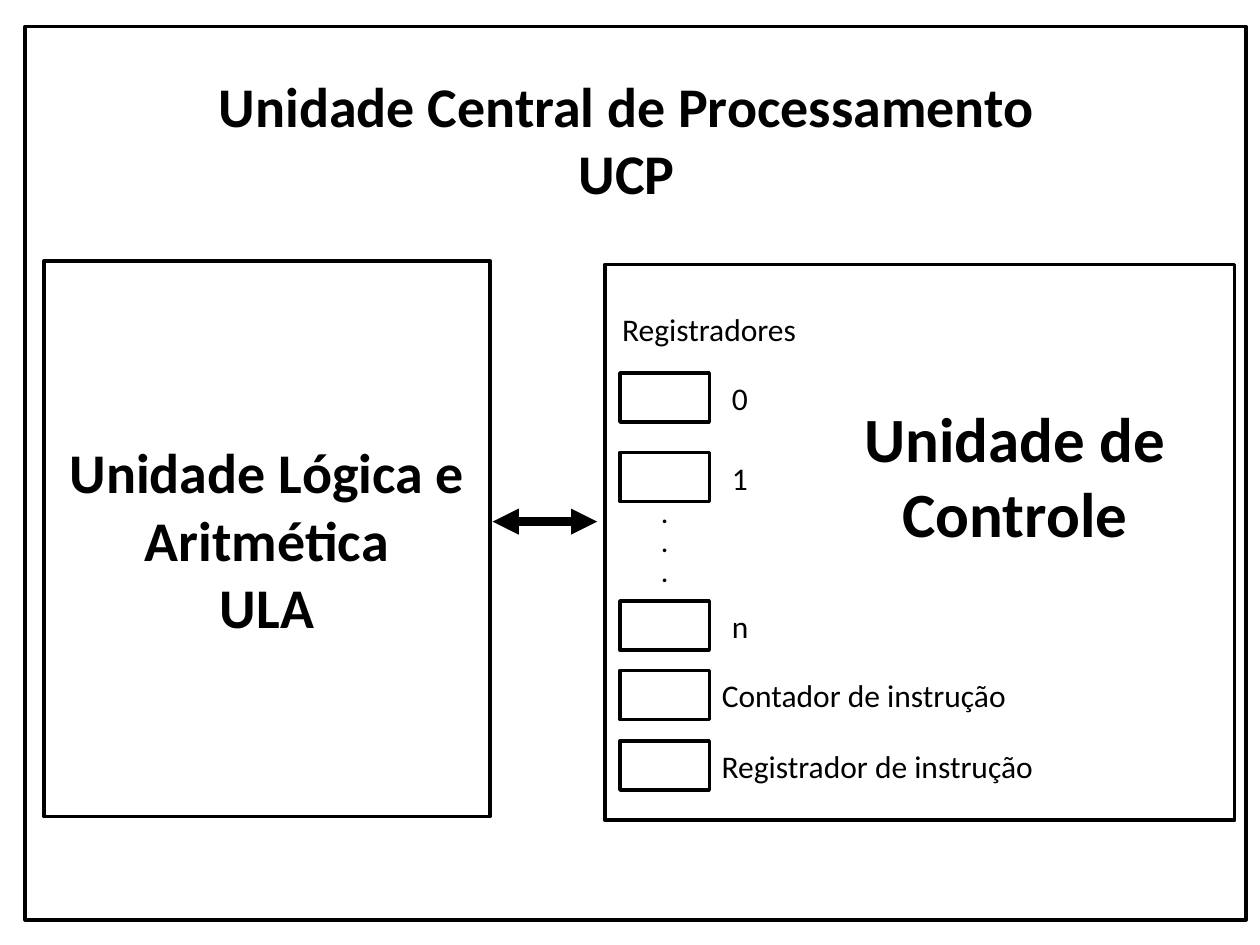
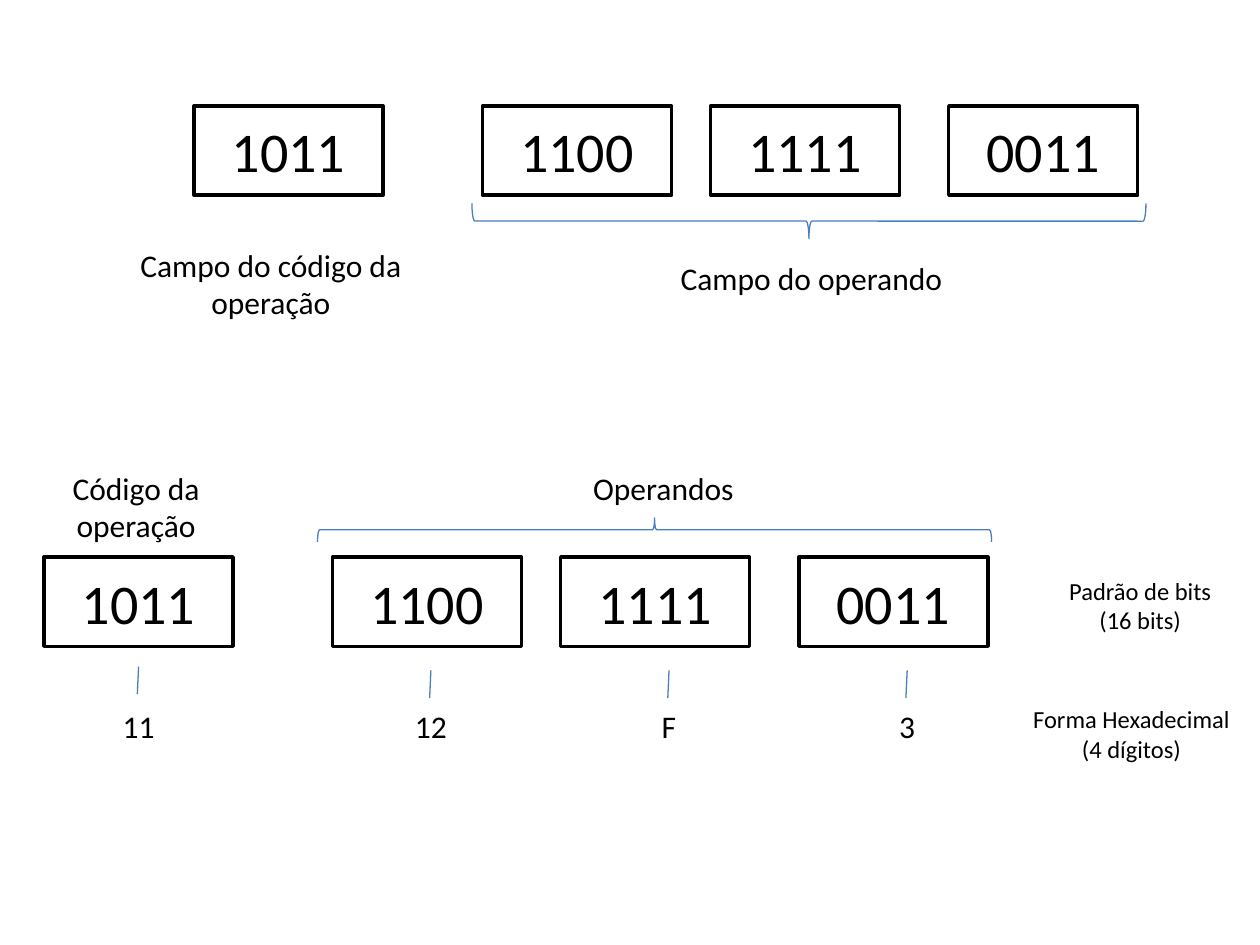
from dataclasses import dataclass

from lxml.etree import SubElement
from pptx import Presentation
from pptx.dml.color import RGBColor
from pptx.enum.shapes import MSO_CONNECTOR, MSO_SHAPE
from pptx.enum.text import MSO_ANCHOR, PP_ALIGN
from pptx.oxml.ns import qn
from pptx.util import Pt

PX = 9144  # 100 px to the inch


@dataclass(frozen=True)
class Theme:
    font: str = "Calibri"
    ink: RGBColor = RGBColor(0x00, 0x00, 0x00)
    accent: RGBColor = RGBColor(0x4B, 0x7E, 0xBC)
    heading: int = 36
    title: int = 32
    body: int = 18
    small: int = 14
    frame: float = 2
    thin: float = 0.75
    arrow: float = 5


T = Theme()


def add_item(s, at, text="", size=T.body, bold=False, align=PP_ALIGN.CENTER,
             kind=None, color=T.ink, width=T.frame):
    """Add an outlined shape of the given kind, or a plain label if there is none."""
    box = [v * PX for v in at]
    if kind is None:
        sp = s.shapes.add_textbox(*box)
    else:
        sp = s.shapes.add_shape(kind, *box)
        sp.shadow.inherit = False
        sp.fill.background()
        sp.line.color.rgb = color
        sp.line.width = Pt(width)
    if text:
        tf = sp.text_frame
        tf.word_wrap = kind is not None
        tf.vertical_anchor = MSO_ANCHOR.TOP if kind is None else MSO_ANCHOR.MIDDLE
        tf.text = text
        for p in tf.paragraphs:
            p.alignment = align
            for r in p.runs:
                r.font.name = T.font
                r.font.size = Pt(size)
                r.font.bold = bold
                r.font.color.rgb = T.ink
    return sp


def add_line(s, start, end, color, width):
    cn = s.shapes.add_connector(MSO_CONNECTOR.STRAIGHT, *[v * PX for v in (*start, *end)])
    cn.line.color.rgb = color
    cn.line.width = Pt(width)
    SubElement(cn._element.spPr, qn("a:effectLst"))
    return cn


prs = Presentation()
prs.slide_width, prs.slide_height = 1000 * PX, 750 * PX
blank = prs.slide_layouts[6]
RECT = MSO_SHAPE.RECTANGLE

# Slide 1: parts of the central processing unit
s = prs.slides.add_slide(blank)
add_item(s, (20, 21, 969, 709), kind=RECT)
add_item(s, (161, 52, 673, 118), "Unidade Central de Processamento\nUCP", T.title, True)
add_item(s, (35, 207, 354, 441), "Unidade Lógica e Aritmética\nULA", T.title, True, kind=RECT)
add_item(s, (480, 210, 500, 441), kind=RECT)

add_item(s, (484, 241, 160, 40), "Registradores", align=PP_ALIGN.LEFT)
registers = [
    (296, 571, 33, "0"),
    (359, 571, 33, "1"),
    (477, 571, 34, "n"),
    (532, 563, 248, "Contador de instrução"),
    (588, 563, 270, "Registrador de instrução"),
]
for y, label_x, label_w, label in registers:
    add_item(s, (492, y, 71, 39), kind=RECT)
    add_item(s, (label_x, y, label_w, 40), label, align=PP_ALIGN.LEFT)
add_item(s, (515, 391, 25, 81), ".\n.\n.", T.small, True, PP_ALIGN.LEFT)

bus = add_line(s, (391, 414), (474, 414), T.ink, T.arrow)
for end in ("a:headEnd", "a:tailEnd"):
    SubElement(bus.line._get_or_add_ln(), qn(end), type="triangle")
add_item(s, (675, 312, 261, 131), "Unidade de\nControle", T.heading, True)

# Slide 2: fields of an instruction
s = prs.slides.add_slide(blank)
nibbles = ("1011", "1100", "1111", "0011")
offsets = (0, 229, 410, 599)
for left, top in ((154, 84), (35, 442)):
    for dx, bits in zip(offsets, nibbles):
        add_item(s, (left + dx, top, 150, 71), bits, T.title, kind=RECT)

for at, turn in (((628, -92, 28, 535), 90), ((510, 153, 19, 535), 270)):
    brace = add_item(s, at, kind=MSO_SHAPE.RIGHT_BRACE, color=T.accent, width=T.thin)
    brace.rotation = turn

captions = [
    ((100, 190, 230, 71), "Campo do código da\noperação", T.body),
    ((529, 201, 230, 40), "Campo do operando", T.body),
    ((47, 367, 122, 71), "Código da\noperação", T.body),
    ((460, 367, 133, 40), "Operandos", T.body),
    ((838, 452, 134, 57), "Padrão de bits\n(16 bits)", T.small),
    ((809, 554, 178, 57), "Forma Hexadecimal\n(4 dígitos)", T.small),
]
for at, text, size in captions:
    add_item(s, at, text, size)

digits = [(110, 529, "11"), (342, 532, "12"), (531, 532, "F"), (720, 532, "3")]
for x, y, digit in digits:
    add_line(s, (x, y), (x - 1, y + 22), T.accent, T.thin)
    add_item(s, (x - 23, 556, 46, 40), digit)

prs.save("out.pptx")
